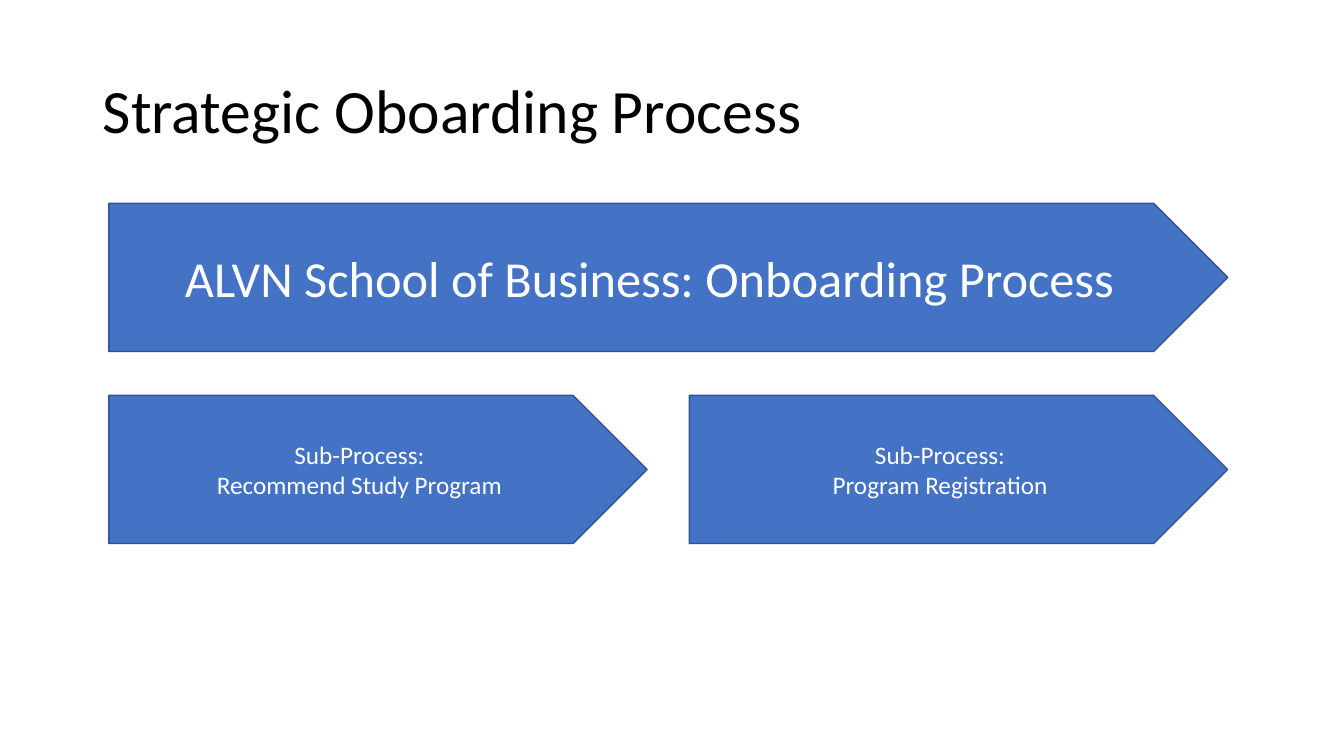
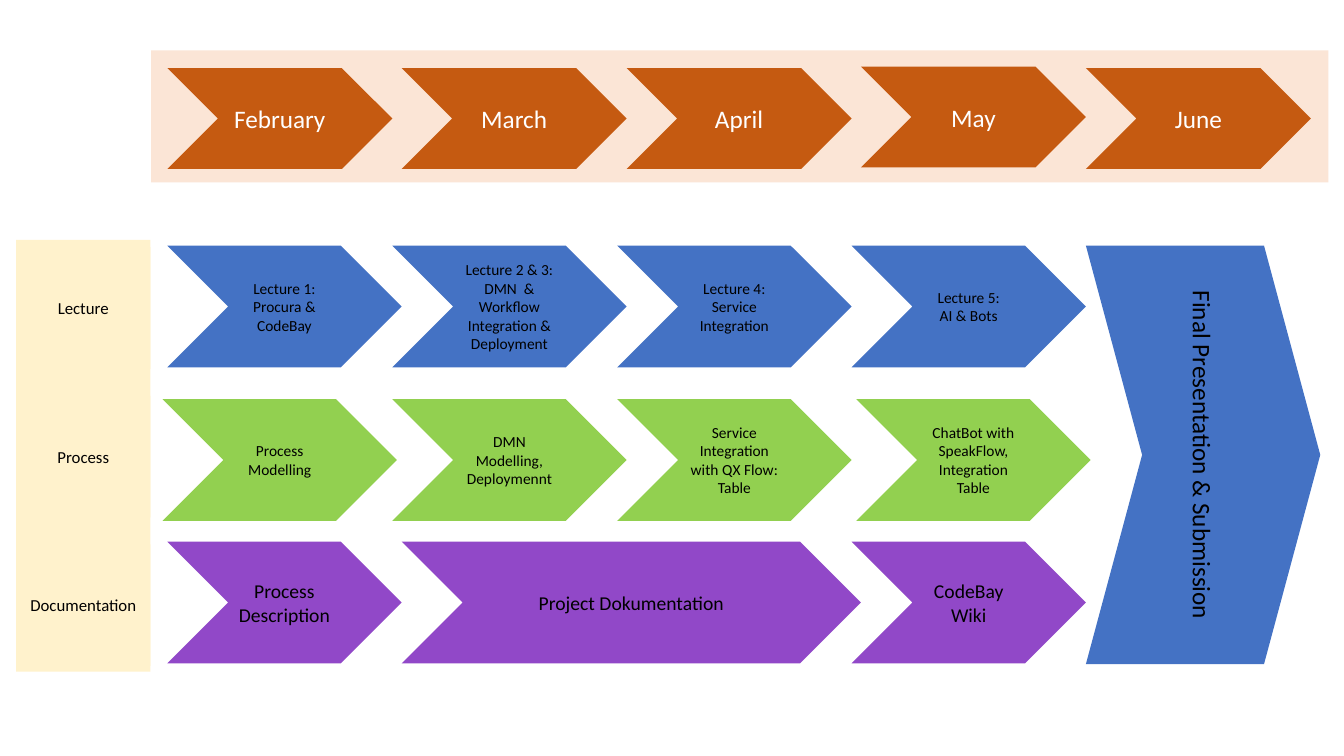
from dataclasses import dataclass
from typing import Optional

from pptx import Presentation
from pptx.dml import color
from pptx.enum import shapes, text
from pptx.util import Inches, Pt

SLIDE_WIDTH, SLIDE_HEIGHT = Inches(13.33), Inches(7.5)
FONT = "Calibri"
BLACK, WHITE = "000000", "FFFFFF"
BLUE, DARK_BLUE = "4472C4", "325491"
GREEN, PURPLE = "92D050", "9148C8"
ORANGE, PALE_ORANGE, PALE_YELLOW = "C55A11", "FBE5D6", "FFF2CC"

RECTANGLE = shapes.MSO_SHAPE.RECTANGLE
PENTAGON = shapes.MSO_SHAPE.PENTAGON
CHEVRON = shapes.MSO_SHAPE.CHEVRON

# The timeline has 98 fine columns between the first and the last month.
TIMELINE_LEFT, TIMELINE_LAST = 12.45, 80.8
COLUMN = (TIMELINE_LAST - TIMELINE_LEFT) / 98


@dataclass(frozen=True)
class Area:
    """A rectangle in percent of the slide's width and height."""
    left: float
    top: float
    width: float
    height: float

    def lengths(self) -> tuple:
        """Return left, top, width and height as slide lengths."""
        return (int(SLIDE_WIDTH * self.left / 100), int(SLIDE_HEIGHT * self.top / 100),
                int(SLIDE_WIDTH * self.width / 100), int(SLIDE_HEIGHT * self.height / 100))


@dataclass(frozen=True)
class Look:
    """The fill, text and outline of a group of shapes."""
    fill: str
    size: int = 18
    ink: str = BLACK
    outline: Optional[str] = None


@dataclass(frozen=True)
class Step:
    """A chevron on the timeline, placed by fine columns."""
    words: str
    column: float
    span: int = 25
    lift: float = 0


@dataclass(frozen=True)
class Lane:
    """A row of steps that share a look."""
    top: float
    height: float
    look: Look
    steps: tuple


def rgb(value: str) -> color.RGBColor:
    """Turn a hex string into a colour."""
    return color.RGBColor.from_string(value)


def add_block(slide, kind, area: Area, look: Look, words: str = ""):
    """Add a filled preset shape with centred text."""
    shape = slide.shapes.add_shape(kind, *area.lengths())
    shape.shadow.inherit = False
    shape.fill.solid()
    shape.fill.fore_color.rgb = rgb(look.fill)
    if look.outline:
        shape.line.color.rgb = rgb(look.outline)
        shape.line.width = Pt(1)
    else:
        shape.line.fill.background()
    frame = shape.text_frame
    frame.word_wrap = True
    frame.vertical_anchor = text.MSO_ANCHOR.MIDDLE
    frame.text = words
    for paragraph in frame.paragraphs:
        paragraph.alignment = text.PP_ALIGN.CENTER
        set_font(paragraph, look.size, look.ink)
    return shape


def set_font(paragraph, size: int, ink: str) -> None:
    """Give a paragraph the deck's font."""
    paragraph.font.name = FONT
    paragraph.font.size = Pt(size)
    paragraph.font.color.rgb = rgb(ink)


def set_title(slide, words: str) -> None:
    """Place and format the title placeholder."""
    title = slide.shapes.title
    title.left, title.top, title.width, title.height = Area(6.9, 5.33, 86.25, 19.33).lengths()
    frame = title.text_frame
    frame.text = words
    frame.word_wrap = True
    frame.auto_size = text.MSO_AUTO_SIZE.NONE
    frame.vertical_anchor = text.MSO_ANCHOR.MIDDLE
    paragraph = frame.paragraphs[0]
    paragraph.alignment = text.PP_ALIGN.LEFT
    paragraph.line_spacing = 0.9
    set_font(paragraph, 44, BLACK)


def add_step(slide, lane: Lane, step: Step):
    """Add one chevron of a lane."""
    area = Area(TIMELINE_LEFT + step.column * COLUMN, lane.top - step.lift,
                step.span * COLUMN, lane.height)
    return add_block(slide, CHEVRON, area, lane.look, step.words)


def build_process_slide(presentation) -> None:
    """Build the process with its two sub-processes."""
    slide = presentation.slides.add_slide(presentation.slide_layouts[5])
    set_title(slide, "Strategic Oboarding Process")
    left, width, height, gap = 8.1, 83.25, 19.6, 3.15
    add_block(slide, PENTAGON, Area(left, 26.9, width, height),
              Look(BLUE, 36, WHITE, DARK_BLUE), "ALVN School of Business: Onboarding Process")
    part_width = (width - gap) / 2
    for index, name in enumerate(("Recommend Study Program", "Program Registration")):
        area = Area(left + index * (part_width + gap), 52.3, part_width, height)
        add_block(slide, PENTAGON, area, Look(BLUE, 18, WHITE, DARK_BLUE),
                  f"Sub-Process:\n{name}")


LANE_HEIGHT = 16.1
LANES = (
    Lane(9, 13.35, Look(ORANGE, 18, WHITE), (
        Step("February", 0, 24),
        Step("March", 25, 24),
        Step("April", 49, 24),
        Step("May", 74, 24, lift=0.2),
        Step("June", 98, 24),
    )),
    Lane(32.5, LANE_HEIGHT, Look(BLUE, 11), (
        Step("Lecture 1:\nProcura & CodeBay", 0),
        Step("Lecture 2 & 3:\nDMN  & Workflow Integration & Deployment", 24),
        Step("Lecture 4:\nService Integration", 48),
        Step("Lecture 5:\nAI & Bots", 73),
    )),
    Lane(52.8, LANE_HEIGHT, Look(GREEN, 11), (
        Step("Process Modelling", -0.5),
        Step("DMN Modelling, Deploymennt", 24),
        Step("Service Integration with QX Flow:\nTable", 48),
        Step("ChatBot with SpeakFlow, Integration Table", 73.5),
    )),
    Lane(71.65, LANE_HEIGHT, Look(PURPLE, 14), (
        Step("Process Description", 0),
        Step("Project Dokumentation", 25, 49),
        Step("CodeBay Wiki", 73),
    )),
)
FINALE = Lane(32.5, 55.35, Look(BLUE, 18), (Step("Final Presentation & Submission", 98),))


def build_timeline_slide(presentation) -> None:
    """Build the semester timeline with its lanes."""
    slide = presentation.slides.add_slide(presentation.slide_layouts[6])
    label_left, label_width = 1.2, 10
    add_block(slide, RECTANGLE, Area(label_left, 31.75, label_width, 57.1), Look(PALE_YELLOW))
    add_block(slide, RECTANGLE, Area(11.25, 6.67, 87.6, 17.45), Look(PALE_ORANGE))
    for lane in LANES:
        for step in lane.steps:
            add_step(slide, lane, step)
    finale = add_step(slide, FINALE, FINALE.steps[0])
    finale.adjustments[0] = 0.24
    finale.text_frame._txBody.bodyPr.set("vert", "vert")
    for index, name in enumerate(("Lecture", "Process", "Documentation")):
        area = Area(label_left, 32.7 + index * 19.65, label_width, LANE_HEIGHT)
        add_block(slide, RECTANGLE, area, Look(PALE_YELLOW, 12), name)


def main() -> None:
    """Build and save the presentation."""
    presentation = Presentation()
    presentation.slide_width, presentation.slide_height = SLIDE_WIDTH, SLIDE_HEIGHT
    build_process_slide(presentation)
    build_timeline_slide(presentation)
    presentation.save("out.pptx")


main()
